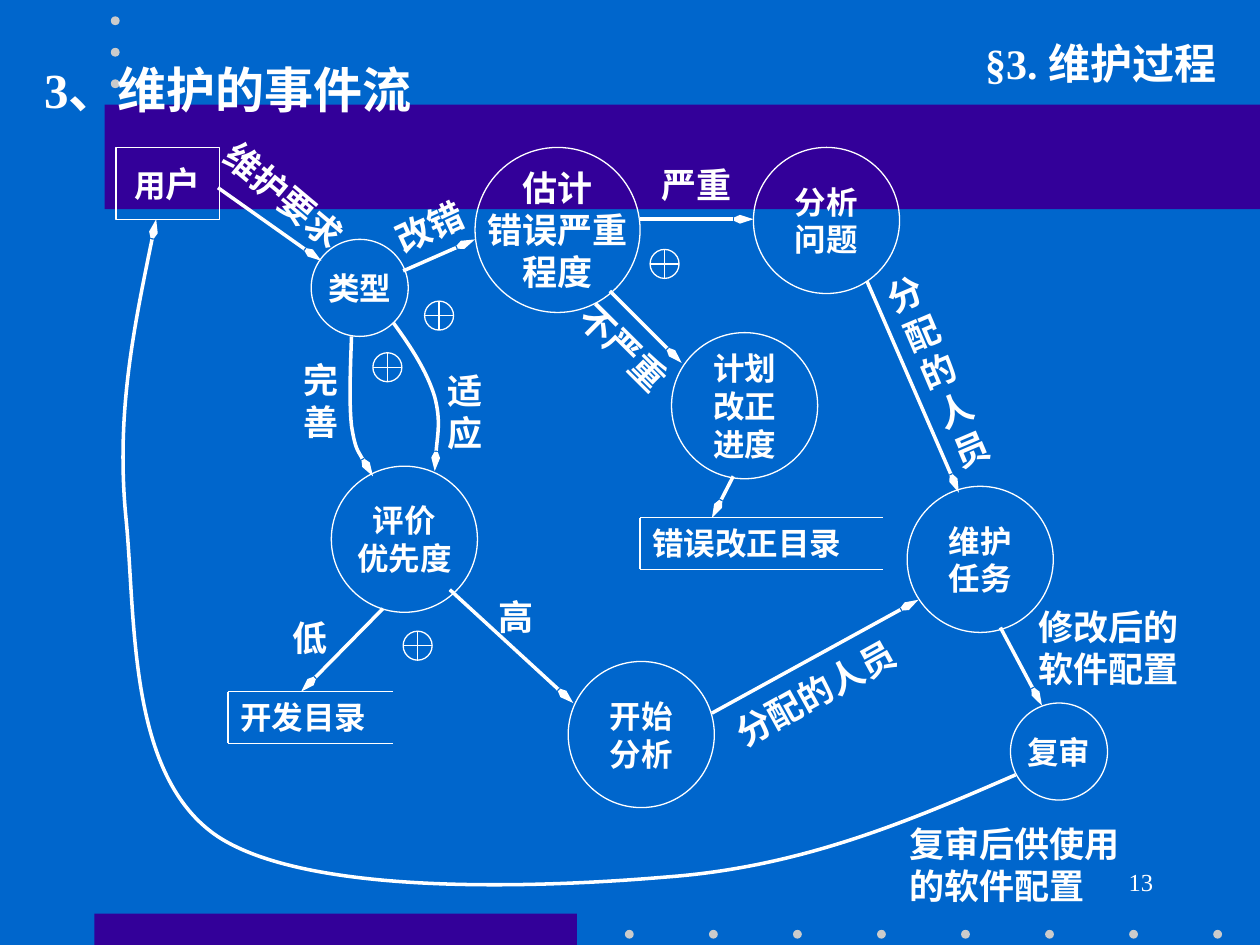
from lxml import etree
from pptx import Presentation
from pptx.dml.color import RGBColor
from pptx.enum.shapes import MSO_CONNECTOR, MSO_SHAPE
from pptx.enum.text import MSO_ANCHOR, PP_ALIGN
from pptx.oxml.ns import qn
from pptx.util import Inches, Pt

LEFT, CENTER, RIGHT = PP_ALIGN.LEFT, PP_ALIGN.CENTER, PP_ALIGN.RIGHT
TOP, MIDDLE = MSO_ANCHOR.TOP, MSO_ANCHOR.MIDDLE
RECT, OVAL = MSO_SHAPE.RECTANGLE, MSO_SHAPE.OVAL
PROCESS, OR_GATE = MSO_SHAPE.FLOWCHART_PROCESS, MSO_SHAPE.FLOWCHART_OR
STRAIGHT = MSO_CONNECTOR.STRAIGHT

COLORS = {"bg": "0066CC", "band": "330099", "dot": "CBCBCB", "ink": "FFFFFF"}
FONT = "Times New Roman"
THIN, THICK = 0.75, 2
DOT, GATE = 0.07, 0.23
SMALL, MEDIUM, LARGE = 0.77, 1.16, 1.31

BANDS = [(0.75, 7.25, 3.83, 0.25), (0.83, 0.83, 9.17, 0.83)]
DOTS = [(4.96 + 0.667 * i, 7.38) for i in range(8)]
DOTS += [(0.88, 0.13 + 0.25 * i) for i in range(3)]

NODES = [
    ("类型", 2.47, 1.9, SMALL, 18),
    ("估计\n错误严重\n程度", 3.77, 1.17, LARGE, 20),
    ("计划\n改正\n进度", 5.33, 2.64, MEDIUM, 18),
    ("分析\n问题", 5.98, 1.17, MEDIUM, 18),
    ("维护\n任务", 7.2, 3.86, MEDIUM, 18),
    ("复审", 8.02, 5.58, SMALL, 18),
    ("评价\n优先度", 2.63, 3.7, MEDIUM, 18),
    ("开始\n分析", 4.51, 5.25, MEDIUM, 18),
]
GATES = [(5.16, 1.98), (2.96, 2.8), (3.37, 2.39), (3.2, 5.01)]
CATALOGS = [("错误改正目录", 5.08, 4.11, 1.93), ("开发目录", 1.81, 5.49, 1.31)]
ARROWS = [
    (1.73, 1.49, 2.55, 2.07),
    (3.2, 2.15, 3.77, 1.9),
    (4.84, 2.31, 5.41, 2.88),
    (5.82, 3.78, 5.65, 4.11),
    (5.08, 1.74, 5.98, 1.74),
    (6.88, 2.23, 7.61, 3.91),
    (7.94, 4.98, 8.27, 5.6),
    (3.04, 4.83, 2.39, 5.49),
    (3.57, 4.68, 4.55, 5.58),
    (5.65, 5.66, 7.29, 4.76),
]
CURVES = [
    [(3.12, 2.56), (3.26, 2.75), (3.39, 2.95), (3.45, 3.15),
     (3.5, 3.34), (3.45, 3.64), (3.45, 3.74)],
    [(2.79, 2.67), (2.78, 2.94), (2.77, 3.2), (2.79, 3.38),
     (2.82, 3.57), (2.89, 3.67), (2.96, 3.78)],
    [(8.06, 6.15), (7.21, 6.52), (6.36, 6.88), (5.3, 6.96),
     (4.25, 7.05), (2.45, 7.11), (1.73, 6.64),
     (1.01, 6.16), (1.08, 4.92), (1, 4.11),
     (0.92, 3.29), (1.08, 2.51), (1.24, 1.74)],
]
LABELS = [
    ("维护要求", (1.48, 1.33, 1.55, 0.44), 40, CENTER),
    ("改错", (2.96, 1.58, 0.9, 0.44), 335, CENTER),
    ("不严重", (4.34, 2.54, 1.22, 0.44), 45, CENTER),
    ("严重", (5.08, 1.25, 0.9, 0.44), 0, CENTER),
    ("分配的人员", (7.21, 2.06, 0.49, 1.77), 337, LEFT),
    ("修改后的软件配置", (8.14, 4.76, 1.47, 0.77), 0, LEFT),
    ("完善", (2.31, 2.8, 0.49, 0.77), 0, LEFT),
    ("适应", (3.45, 2.88, 0.49, 0.77), 0, LEFT),
    ("低", (2.22, 4.84, 0.49, 0.44), 0, LEFT),
    ("高", (3.86, 4.68, 0.73, 0.44), 0, LEFT),
    ("分配的人员", (5.65, 5.17, 2.04, 0.44), 331, LEFT),
    ("复审后供使用的软件配置", (7.12, 6.48, 1.88, 0.77), 0, LEFT),
]


def rgb(name):
    return RGBColor.from_string(COLORS[name])


def inches(values):
    return [Inches(v) for v in values]


def write(sp, text, size, align=LEFT, anchor=TOP, wrap=True, bold=True):
    tf = sp.text_frame
    tf.text = text
    tf.word_wrap = wrap
    tf.vertical_anchor = anchor
    for p in tf.paragraphs:
        p.alignment = align
        p.font.name = FONT
        p.font.size = Pt(size)
        p.font.bold = bold
        p.font.color.rgb = rgb("ink")
    return tf


def add_text(text, box, size, align=LEFT, angle=0, bold=True):
    sp = shapes.add_textbox(*inches(box))
    sp.rotation = angle
    write(sp, text, size, align, bold=bold)


def add_solid(kind, box, color):
    sp = shapes.add_shape(kind, *inches(box))
    sp.shadow.inherit = False
    sp.fill.solid()
    sp.fill.fore_color.rgb = rgb(color)
    sp.line.fill.background()


def add_outline(kind, box):
    sp = shapes.add_shape(kind, *inches(box))
    sp.shadow.inherit = False
    sp.fill.background()
    set_line(sp, THIN)
    return sp


def set_line(sp, width, arrow=False):
    sp.line.color.rgb = rgb("ink")
    sp.line.width = Pt(width)
    if arrow:
        ln = sp.line._get_or_add_ln()
        etree.SubElement(ln, qn("a:tailEnd"), type="arrow", w="sm", len="lg")


def add_line(ends, width, arrow=False):
    cn = shapes.add_connector(STRAIGHT, *inches(ends))
    set_line(cn, width, arrow)
    etree.SubElement(cn._element.spPr, qn("a:effectLst"))


def add_curve(points):
    start, *rest = [inches(pt) for pt in points]
    builder = shapes.build_freeform(*start)
    builder.add_line_segments(rest, close=False)
    sp = builder.convert_to_shape()
    sp.shadow.inherit = False
    sp.fill.background()
    set_line(sp, THICK, True)
    segments = list(sp._element.iter(qn("a:lnTo")))
    for i in range(0, len(segments), 3):
        bezier = etree.Element(qn("a:cubicBezTo"))
        segments[i].addprevious(bezier)
        for seg in segments[i:i + 3]:
            bezier.append(seg[0])
            seg.getparent().remove(seg)


prs = Presentation()
prs.slide_width, prs.slide_height = Inches(10), Inches(7.5)
slide = prs.slides.add_slide(prs.slide_layouts[5])
slide.background.fill.solid()
slide.background.fill.fore_color.rgb = rgb("bg")
shapes = slide.shapes

for band in BANDS:
    add_solid(RECT, band, "band")
for x, y in DOTS:
    add_solid(OVAL, (x, y, DOT, DOT), "dot")

user = add_outline(PROCESS, (0.92, 1.17, 0.82, 0.57))
r = write(user, "用", 18, CENTER, MIDDLE, False).paragraphs[0].add_run()
r.text = "户"
r.font.size = Pt(20)

for text, x, y, d, size in NODES:
    write(add_outline(OVAL, (x, y, d, d)), text, size, CENTER, MIDDLE, False)
for x, y in GATES:
    add_outline(OR_GATE, (x, y, GATE, GATE))
for text, x, y, w in CATALOGS:
    bottom = y + 0.41
    for ends in [(x, y, x + w, y), (x, bottom, x + w, bottom), (x, y, x, bottom)]:
        add_line(ends, THIN)
    add_text(text, (x, y, w, 0.43), 18)
for ends in ARROWS:
    add_line(ends, THICK, True)
for points in CURVES:
    add_curve(points)
for text, box, angle, align in LABELS:
    add_text(text, box, 20, align, angle)

add_text("§3. 维护过程", (7.33, 0.25, 2.42, 0.5), 24, RIGHT)
add_text("13", (7.17, 6.83, 2.08, 0.5), 14, RIGHT, bold=False)

title = shapes.title
title.left, title.top, title.width, title.height = inches((0.25, 0.42, 3.67, 0.57))
write(title, "3、维护的事件流", 28)
shapes._spTree.append(title._element)

prs.save("out.pptx")
